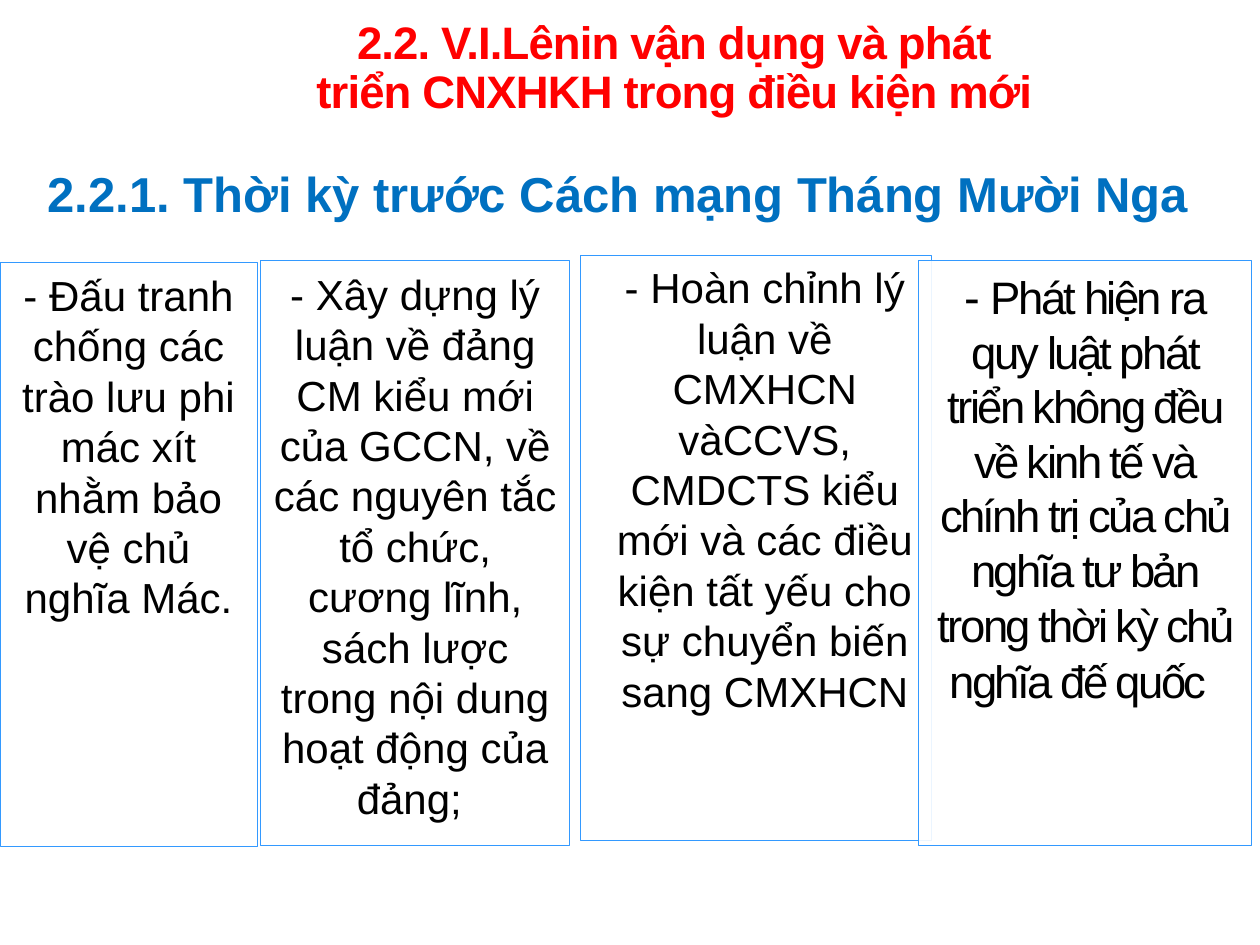
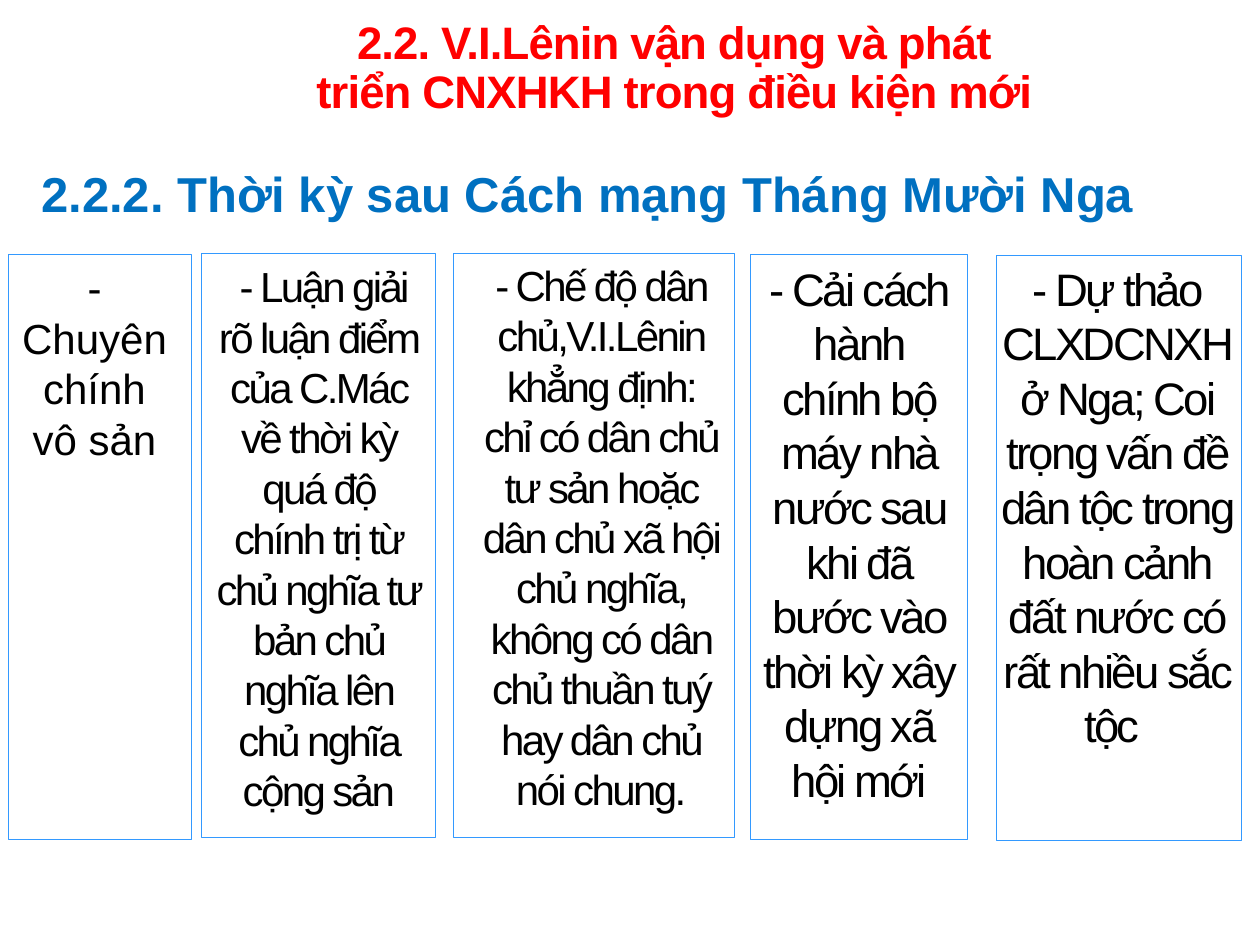
from dataclasses import dataclass

from lxml import etree
from pptx import Presentation
from pptx.dml.color import RGBColor
from pptx.enum import shapes, text
from pptx.oxml import ns
from pptx.util import Inches, Pt


@dataclass(frozen=True)
class Theme:
    font: str = "Arial"
    title_color: str = "FF0000"
    heading_color: str = "0070C0"
    body_color: str = "000000"
    panel_fill: str = "FFFFFF"
    panel_line: str = "3399FF"
    panel_opacity: int = 90
    title_size: int = 26
    heading_size: int = 28
    body_size: int = 24
    large_size: int = 26
    dash_size: int = 27
    title_spacing: float = -0.5
    tight_spacing: float = -1.5


THEME = Theme()
PANEL_HEIGHT = 4.64
TITLE = "2.2. V.I.Lênin vận dụng và phát triển CNXHKH trong điều kiện mới "


@dataclass(frozen=True)
class Column:
    """A panel (left, top, width), its text area (left, top, width, height) and (text, size) runs."""
    panel: tuple
    area: tuple
    runs: tuple
    spacing: float = 0


BEFORE_REVOLUTION = [
    Column((0, 2.08, 2.04), (0, 2.09, 2.04, 2.93),
           (("- Đấu tranh chống các trào lưu phi mác xít nhằm bảo vệ chủ nghĩa Mác.",
             THEME.body_size),)),
    Column((2.07, 2.07, 2.45), (2.07, 2.08, 2.45, 4.54),
           (("- Xây dựng lý luận về đảng CM kiểu mới của GCCN, về các nguyên tắc tổ chức, "
             "cương lĩnh, sách lược trong nội dung hoạt động của đảng; ", THEME.body_size),)),
    Column((4.61, 2.03, 2.78), (4.75, 2.03, 2.64, 3.74),
           (("- Hoàn chỉnh lý luận về CMXHCN vàCCVS, CMDCTS kiểu mới và các điều kiện "
             "tất yếu cho sự chuyển biến sang CMXHCN", THEME.body_size),)),
    Column((7.29, 2.07, 2.64), (7.29, 2.07, 2.64, 3.74),
           (("- ", THEME.dash_size),
            ("Phát hiện ra quy luật phát triển không đều về kinh tế và chính trị của "
             "chủ nghĩa tư bản trong thời kỳ chủ nghĩa đế quốc", THEME.large_size),
            (" ", THEME.dash_size)), THEME.tight_spacing),
]

AFTER_REVOLUTION = [
    Column((0.07, 2.02, 1.45), (0.07, 2.03, 1.36, 1.31),
           (("- Chuyên chính vô sản", THEME.body_size),)),
    Column((1.6, 2.01, 1.86), (1.61, 2.02, 1.84, 3.74),
           ((" - Luận giải rõ luận điểm của C.Mác về thời kỳ quá độ chính trị từ "
             "chủ nghĩa tư bản chủ nghĩa lên chủ nghĩa cộng sản", THEME.body_size),),
           THEME.tight_spacing),
    Column((3.6, 2.01, 2.23), (3.71, 2.01, 2.12, 3.74),
           (("- Chế độ dân chủ,V.I.Lênin khẳng định: chỉ có dân chủ tư sản hoặc dân chủ "
             "xã hội chủ nghĩa, không có dân chủ thuần tuý hay dân chủ nói chung.",
             THEME.body_size),), THEME.tight_spacing),
    Column((5.96, 2.02, 1.72), (5.96, 2.02, 1.72, 4.48),
           (("- Cải cách hành chính bộ máy nhà nước sau khi đã bước vào thời kỳ "
             "xây dựng xã hội mới", THEME.large_size),), THEME.tight_spacing),
    Column((7.91, 2.03, 1.94), (7.84, 2.02, 2.05, 4.04),
           (("- Dự thảo CLXDCNXH ở Nga; Coi trọng vấn đề dân tộc trong hoàn cảnh "
             "đất nước có rất nhiều sắc tộc ", THEME.large_size),), THEME.tight_spacing),
]


class Deck:
    def __init__(self, theme):
        self.theme = theme
        self.presentation = Presentation()
        self.presentation.slide_width = Inches(10)
        self.presentation.slide_height = Inches(7.5)
        self.slide = None

    def new_slide(self):
        self.slide = self.presentation.slides.add_slide(self.presentation.slide_layouts[6])

    def text_box(self, parent, area, runs, color, alignment, bold=False, spacing=0, grow=True):
        """Add a one-paragraph text box to parent and return its paragraph."""
        frame = parent.add_textbox(*map(Inches, area)).text_frame
        frame.word_wrap = True
        if grow:
            frame.auto_size = text.MSO_AUTO_SIZE.SHAPE_TO_FIT_TEXT
        paragraph = frame.paragraphs[0]
        paragraph.alignment = alignment
        for words, size in runs:
            run = paragraph.add_run()
            run.text = words
            run.font.name = self.theme.font
            run.font.size = Pt(size)
            run.font.bold = bold
            run.font.color.rgb = RGBColor.from_string(color)
            if spacing:
                run.font._element.set("spc", str(round(spacing * 100)))
        return paragraph

    def title(self, words):
        paragraph = self.text_box(
            self.slide.shapes, (2.38, 0.11, 5.94, 1.25), ((words, self.theme.title_size),),
            self.theme.title_color, text.PP_ALIGN.CENTER, bold=True,
            spacing=self.theme.title_spacing, grow=False)
        paragraph.line_spacing = 0.9
        paragraph.space_after = Pt(6)

    def heading(self, words, left):
        self.text_box(self.slide.shapes, (left, 1.25, 9.9 - left, 0.57),
                      ((words, self.theme.heading_size),), self.theme.heading_color,
                      text.PP_ALIGN.JUSTIFY, bold=True)

    def panel(self, parent, left, top, width):
        shape = parent.add_shape(shapes.MSO_SHAPE.RECTANGLE, Inches(left), Inches(top),
                                 Inches(width), Inches(PANEL_HEIGHT))
        shape.shadow.inherit = False
        shape.fill.solid()
        shape.fill.fore_color.rgb = RGBColor.from_string(self.theme.panel_fill)
        color = shape._element.spPr.find(ns.qn("a:solidFill")).find(ns.qn("a:srgbClr"))
        etree.SubElement(color, ns.qn("a:alpha"), val=str(self.theme.panel_opacity * 1000))
        shape.line.color.rgb = RGBColor.from_string(self.theme.panel_line)
        shape.line.width = Pt(0.5)

    def column(self, column):
        group = self.slide.shapes.add_group_shape().shapes
        self.panel(group, *column.panel)
        self.text_box(group, column.area, column.runs, self.theme.body_color,
                      text.PP_ALIGN.CENTER, spacing=column.spacing)

    def period_slide(self, heading, heading_left, columns):
        self.new_slide()
        self.heading(heading, heading_left)
        for column in columns:
            self.column(column)
        self.title(TITLE)


def main():
    deck = Deck(THEME)
    deck.period_slide("2.2.1. Thời kỳ trước Cách mạng Tháng Mười Nga", 0.28, BEFORE_REVOLUTION)
    deck.period_slide("2.2.2. Thời kỳ sau Cách mạng Tháng Mười Nga", 0.23, AFTER_REVOLUTION)
    deck.presentation.save("out.pptx")


if __name__ == "__main__":
    main()
